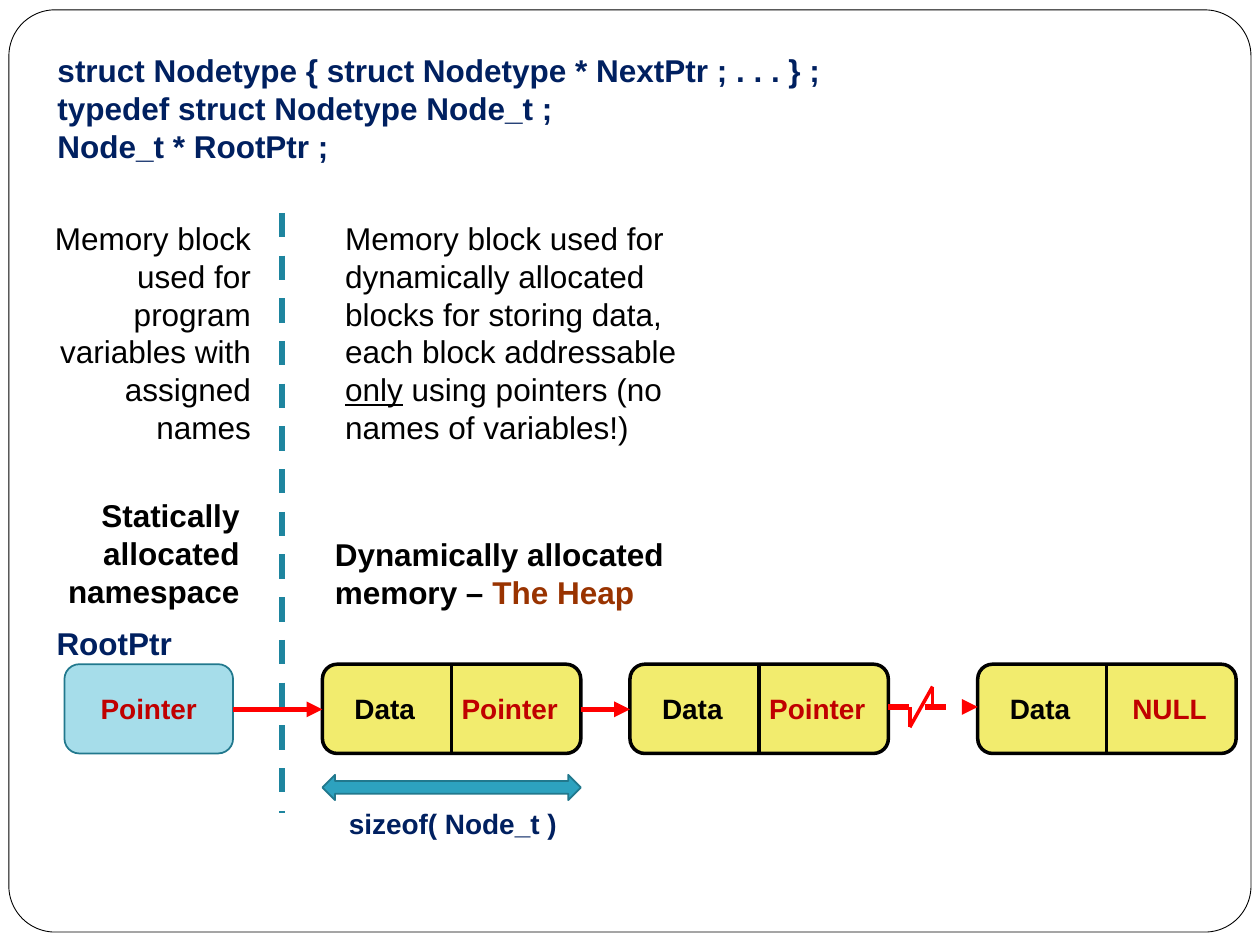
from dataclasses import dataclass

from lxml.etree import SubElement
from pptx import Presentation
from pptx.dml.color import RGBColor
from pptx.enum.dml import MSO_LINE_DASH_STYLE as Dash
from pptx.enum.shapes import MSO_CONNECTOR as Link, MSO_SHAPE as Preset
from pptx.enum.text import MSO_ANCHOR as Anchor, MSO_AUTO_SIZE as Fit, PP_ALIGN as Align
from pptx.oxml.ns import qn
from pptx.shapes.autoshape import Shape
from pptx.slide import Slide
from pptx.util import Cm, Pt

BLACK = RGBColor(0x00, 0x00, 0x00)
WHITE = RGBColor(0xFF, 0xFF, 0xFF)
NAVY = RGBColor(0x00, 0x20, 0x60)
BROWN = RGBColor(0x99, 0x33, 0x00)
DARK_RED = RGBColor(0xC0, 0x00, 0x00)
RED = RGBColor(0xFF, 0x00, 0x00)
YELLOW = RGBColor(0xF2, 0xEC, 0x6E)
PALE_BLUE = RGBColor(0xA6, 0xDD, 0xEA)
TEAL = RGBColor(0x2D, 0xA2, 0xBF)
TEAL_LINE = RGBColor(0x21, 0x78, 0x8D)
TEAL_DASH = RGBColor(0x1E, 0x85, 0x9F)

# Lengths in centimetres
ROW_TOP, ROW_HEIGHT = 13.39, 1.8
NODE_WIDTH, DIVIDER = 5.21, 2.6
LINK_Y, BREAK_Y = 14.3, 14.25


@dataclass
class Span:
    text: str
    color: RGBColor = BLACK
    bold: bool = False
    underline: bool = False


@dataclass
class Label:
    at: tuple[float, float, float, float]
    paras: list[list[Span]]
    size: int = 18
    align: Align = Align.LEFT


@dataclass
class Node:
    left: float
    link: str
    tab: float


@dataclass
class Line:
    start: tuple[float, float]
    end: tuple[float, float]
    color: RGBColor
    width: float
    dashed: bool = False
    arrow: bool = False


def add_spans(para, spans: list[Span], size: int) -> None:
    for span in spans:
        run = para.add_run()
        run.text = span.text
        font = run.font
        font.name, font.size, font.bold = "Arial", Pt(size), span.bold
        font.color.rgb = span.color
        if span.underline:
            font.underline = True


def draw_shape(page: Slide, preset: Preset, at: tuple, fill: RGBColor,
               line: RGBColor, width: float) -> Shape:
    shape = page.shapes.add_shape(preset, *map(Cm, at))
    shape.shadow.inherit = False
    shape.fill.solid()
    shape.fill.fore_color.rgb = fill
    shape.line.color.rgb = line
    shape.line.width = Pt(width)
    shape.text_frame.vertical_anchor = Anchor.MIDDLE
    return shape


def draw_label(page: Slide, label: Label) -> None:
    frame = page.shapes.add_textbox(*map(Cm, label.at)).text_frame
    frame.word_wrap = True
    frame.auto_size = Fit.SHAPE_TO_FIT_TEXT
    for index, spans in enumerate(label.paras):
        para = frame.add_paragraph() if index else frame.paragraphs[0]
        para.alignment = label.align
        add_spans(para, spans, label.size)


def draw_line(page: Slide, line: Line) -> None:
    connector = page.shapes.add_connector(Link.STRAIGHT, *map(Cm, line.start + line.end))
    connector.line.color.rgb = line.color
    connector.line.width = Pt(line.width)
    if line.dashed:
        connector.line.dash_style = Dash.DASH
    if line.arrow:
        SubElement(connector.line._get_or_add_ln(), qn("a:tailEnd"), type="triangle")
    SubElement(connector._element.spPr, qn("a:effectLst"))


def draw_node(page: Slide, node: Node) -> None:
    box = draw_shape(page, Preset.ROUNDED_RECTANGLE,
                     (node.left, ROW_TOP, NODE_WIDTH, ROW_HEIGHT), YELLOW, BLACK, 2)
    frame = box.text_frame
    frame.margin_left, frame.margin_right = Cm(0.56), Cm(0)
    para = frame.paragraphs[0]
    para.alignment = Align.LEFT
    # The tab stop places the second field
    tabs = SubElement(para._p.get_or_add_pPr(), qn("a:tabLst"))
    SubElement(tabs, qn("a:tab"), pos=str(Cm(node.tab)), algn="l")
    add_spans(para, [Span("Data\t", bold=True), Span(node.link, DARK_RED, True)], 16)
    x = node.left + DIVIDER
    draw_line(page, Line((x, ROW_TOP), (x, ROW_TOP + ROW_HEIGHT), BLACK, 2))


NODES = [Node(6.5, "Pointer", 2.16), Node(12.7, "Pointer", 2.16), Node(19.71, "NULL", 2.47)]

LINES = [
    # Border between the two memory areas
    Line((5.69, 4.29), (5.69, 16.38), TEAL_DASH, 3.5, dashed=True),
    # Links between the blocks
    Line((4.7, LINK_Y), (6.5, LINK_Y), RED, 3, arrow=True),
    Line((11.71, LINK_Y), (12.7, LINK_Y), RED, 3, arrow=True),
    Line((17.91, BREAK_Y), (19.71, BREAK_Y), RED, 3, dashed=True, arrow=True),
    # Break mark in the last link
    Line((18.34, BREAK_Y), (18.34, 14.66), RED, 2),
    Line((18.8, 13.84), (18.8, BREAK_Y), RED, 2),
    Line((18.34, 14.66), (18.8, 13.84), RED, 2),
]

CODE = [
    "struct Nodetype { struct Nodetype * NextPtr ; . . . } ;",
    "typedef struct Nodetype Node_t ;",
    "Node_t * RootPtr ;",
]

LABELS = [
    Label((0.91, 0.91, 16.61, 2.57), [[Span(row, NAVY, True)] for row in CODE]),
    Label((0.51, 4.29, 4.8, 4.88),
          [[Span("Memory block used for program variables with assigned names")]],
          align=Align.RIGHT),
    Label((6.71, 4.29, 7.39, 4.88), [[
        Span("Memory block used for dynamically allocated blocks for storing data, "
             "each block addressable "),
        Span("only", underline=True),
        Span(" using pointers (no names of variables!)")]]),
    Label((0.89, 9.88, 4.19, 2.57), [[Span("Statically allocated namespace", bold=True)]],
          align=Align.RIGHT),
    Label((6.5, 10.67, 7.59, 1.8), [[Span("Dynamically allocated memory – ", bold=True),
                                     Span("The Heap", BROWN, True)]]),
    Label((0.89, 12.45, 3.2, 1.02), [[Span("RootPtr", NAVY, True)]]),
    Label((6.73, 16.13, 4.8, 0.94), [[Span("sizeof( Node_t )", NAVY, True)]], 16, Align.CENTER),
]


def main() -> None:
    deck = Presentation()
    deck.slide_width, deck.slide_height = Cm(25.4), Cm(19.05)
    page = deck.slides.add_slide(deck.slide_layouts[6])

    # Page frame
    border = draw_shape(page, Preset.ROUNDED_RECTANGLE, (0.18, 0.2, 25.04, 18.59),
                        WHITE, BLACK, 0.5)
    border.adjustments[0] = 0.05

    # Root pointer
    root = draw_shape(page, Preset.ROUNDED_RECTANGLE, (1.3, ROW_TOP, 3.4, ROW_HEIGHT),
                      PALE_BLUE, TEAL_LINE, 1)
    para = root.text_frame.paragraphs[0]
    para.alignment = Align.CENTER
    add_spans(para, [Span("Pointer", DARK_RED, True)], 16)

    # Linked list and its size mark
    for node in NODES:
        draw_node(page, node)
    for line in LINES:
        draw_line(page, line)
    draw_shape(page, Preset.LEFT_RIGHT_ARROW, (NODES[0].left, 15.62, NODE_WIDTH, 0.51),
               TEAL, TEAL_LINE, 1)

    # Code and captions
    for label in LABELS:
        draw_label(page, label)

    deck.save("out.pptx")


if __name__ == "__main__":
    main()
